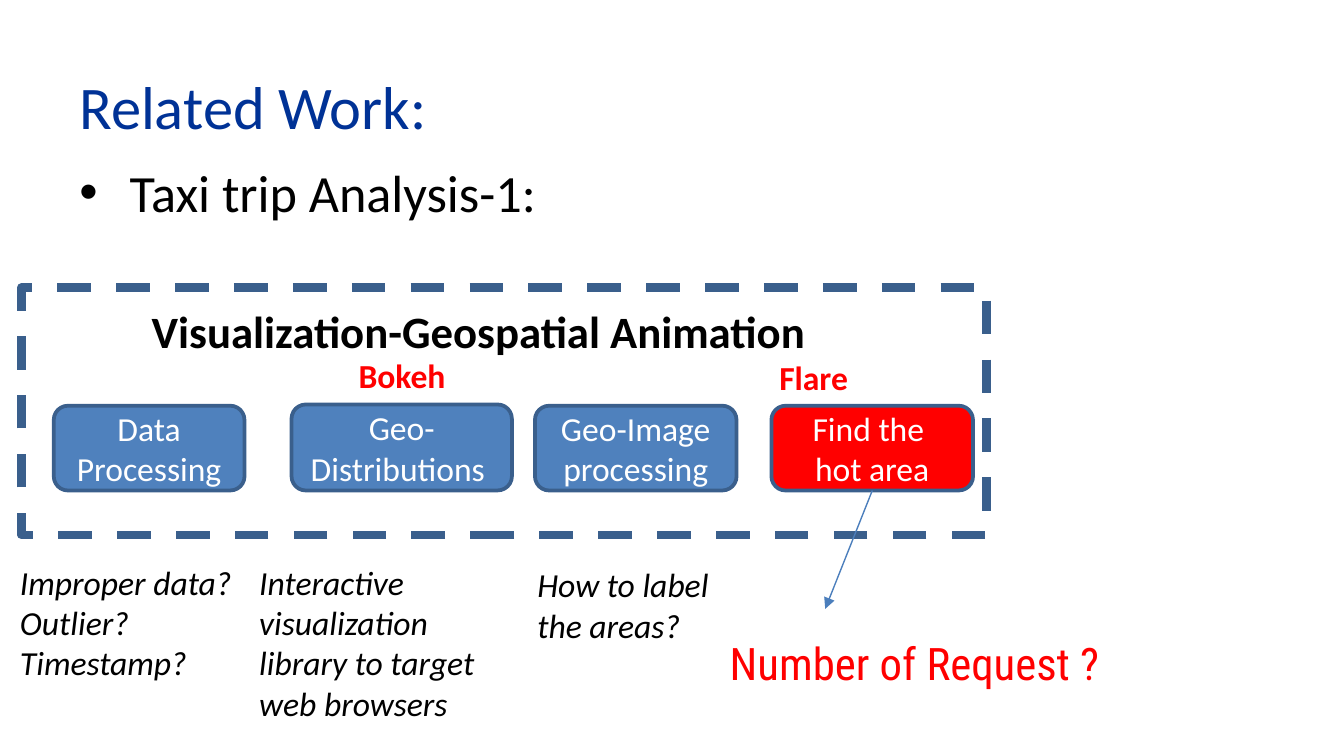
from lxml.etree import SubElement
from pptx import Presentation
from pptx.dml.color import RGBColor
from pptx.enum.dml import MSO_LINE
from pptx.enum.shapes import MSO_CONNECTOR, MSO_SHAPE
from pptx.enum.text import MSO_ANCHOR, MSO_AUTO_SIZE, PP_ALIGN
from pptx.oxml.ns import qn
from pptx.util import Pt

# Content: places are left, top, width, height in points
TITLE = ("Related Work:", (35.3, 33.8, 493.2, 45.4))
BULLET = ("Taxi trip Analysis-1:", (35.3, 82.1, 493.2, 48.2))
FRAME = (11.5, 154.1, 517, 132.5)
STEPS = [
    (["Data", "Processing"], (28.8, 217.4, 102.2, 45.4), "4F81BD"),
    (["Geo-Distributions "], (156.2, 216.7, 118.1, 46.1), "4F81BD"),
    (["Geo-Image processing"], (286.6, 217.4, 108, 45.4), "4F81BD"),
    (["Find the ", "hot area"], (413.3, 217.4, 108, 45.4), "FF0000"),
]
HEADING = {"size": Pt(24), "bold": True}
TOOL = {"size": Pt(18), "bold": True, "color": "FF0000"}
NOTE = {"size": Pt(18), "italic": True}
REQUEST = {"size": Pt(24), "name": "Roboto Condensed", "color": "FF0000"}
LABELS = [
    (["Visualization-Geospatial Animation"], (74.2, 159.1, 413.3, 33.1), HEADING),
    (["Bokeh"], (185, 186.5, 87.1, 28.8), TOOL),
    (["Flare"], (410.4, 187.9, 72, 28.8), TOOL),
    (["Improper data?", "Outlier?", "Timestamp?"], (3.6, 297.4, 128.9, 72.7), NOTE),
    (["Interactive visualization library to target web browsers"],
     (131.8, 297.4, 155.5, 94.3), NOTE),
    (["How to label the areas?"], (280.8, 298.8, 108, 51.1), NOTE),
    (["Number of Request ?"], (383.8, 337, 348.5, 36), REQUEST),
]
ARROW_END = (442.1, 326.2)
OUTLINE = "3A5F8C"


def color(hex_text):
    return RGBColor.from_string(hex_text)


def points(values):
    return [Pt(value) for value in values]


def write(shape, lines, style, align=PP_ALIGN.LEFT, anchor=MSO_ANCHOR.TOP):
    frame = shape.text_frame
    frame.text = "\n".join(lines)
    frame.word_wrap = True
    frame.auto_size = MSO_AUTO_SIZE.NONE
    frame.vertical_anchor = anchor
    font_values = {"name": "Calibri", **style}
    font_color = font_values.pop("color", "000000")
    for paragraph in frame.paragraphs:
        paragraph.alignment = align
        paragraph.space_before = Pt(0)
        for name, value in font_values.items():
            setattr(paragraph.font, name, value)
        paragraph.font.color.rgb = color(font_color)


def place(shape, box):
    for name, value in zip(("left", "top", "width", "height"), points(box)):
        setattr(shape, name, value)


def add_box(kind, box, line_width, fill=None):
    shape = slide.shapes.add_shape(kind, *points(box))
    shape.shadow.inherit = False
    if fill:
        shape.fill.solid()
        shape.fill.fore_color.rgb = color(fill)
    else:
        shape.fill.background()
    shape.line.color.rgb = color(OUTLINE)
    shape.line.width = Pt(line_width)
    return shape


presentation = Presentation()
presentation.slide_width, presentation.slide_height = Pt(720), Pt(405)
slide = presentation.slides.add_slide(presentation.slide_layouts[1])

# Title and bullet
title, body = slide.placeholders
place(title, TITLE[1])
write(title, [TITLE[0]], {"size": Pt(32.4), "color": "003296"},
      anchor=MSO_ANCHOR.MIDDLE)
place(body, BULLET[1])
body.text_frame.text = BULLET[0]
properties = body.text_frame.paragraphs[0]._p.get_or_add_pPr()
properties.set("marL", str(Pt(27)))
properties.set("indent", str(-Pt(27)))
SubElement(properties, qn("a:buFont"), typeface="Arial")
SubElement(properties, qn("a:buChar"), char="•")
write(body, [BULLET[0]], {"size": Pt(28)})

# Dashed frame and the steps inside it
dashed_frame = add_box(MSO_SHAPE.RECTANGLE, FRAME, 4.5)
dashed_frame.line.dash_style = MSO_LINE.DASH
for lines, box, fill in STEPS:
    step = add_box(MSO_SHAPE.ROUNDED_RECTANGLE, box, 2, fill)
    write(step, lines, {"size": Pt(18), "color": "FFFFFF"},
          PP_ALIGN.CENTER, MSO_ANCHOR.MIDDLE)

# Arrow from the last step to the request label
arrow = slide.shapes.add_connector(MSO_CONNECTOR.STRAIGHT, 0, 0, *points(ARROW_END))
arrow.begin_connect(step, 2)
arrow.line.color.rgb = color("4B7EBC")
arrow.line.width = Pt(0.75)
SubElement(arrow.line._get_or_add_ln(), qn("a:tailEnd"), type="triangle")
SubElement(arrow._element.spPr, qn("a:effectLst"))

# Headings and notes
for lines, box, style in LABELS:
    write(slide.shapes.add_textbox(*points(box)), lines, style)

presentation.save("out.pptx")
